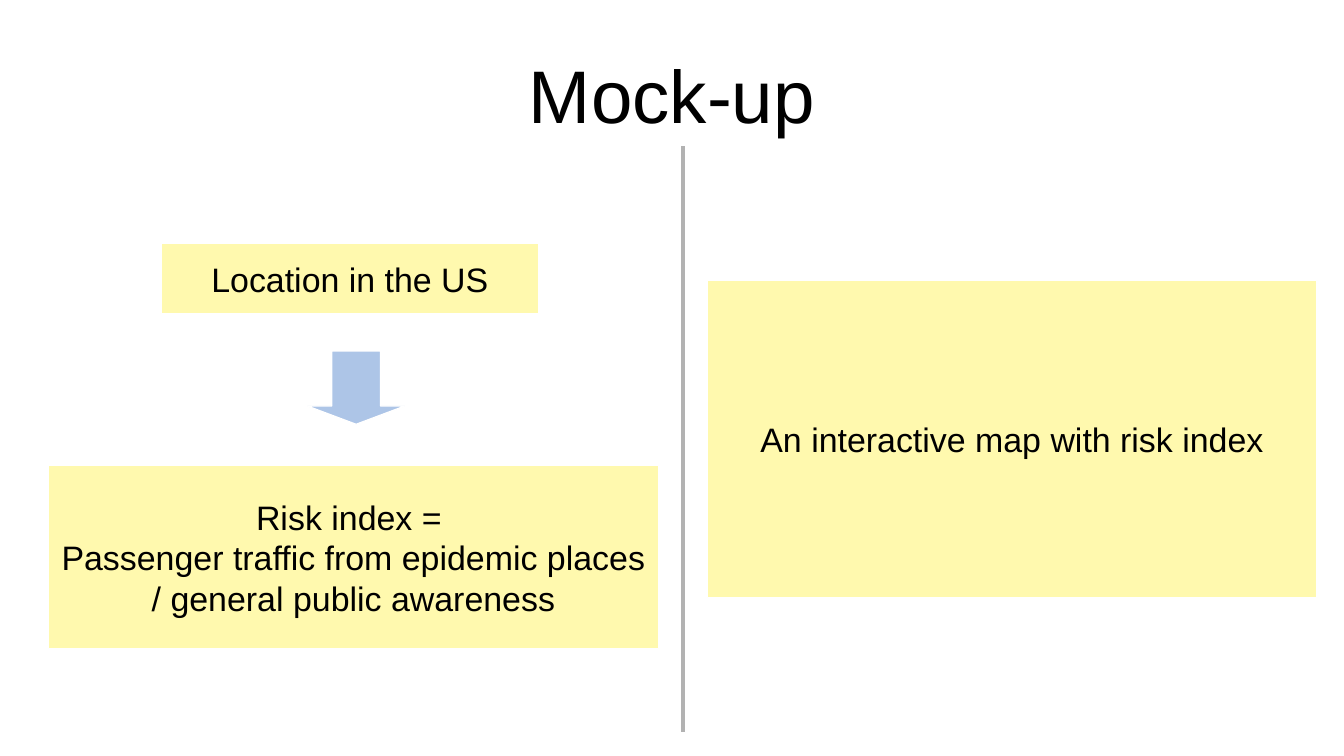
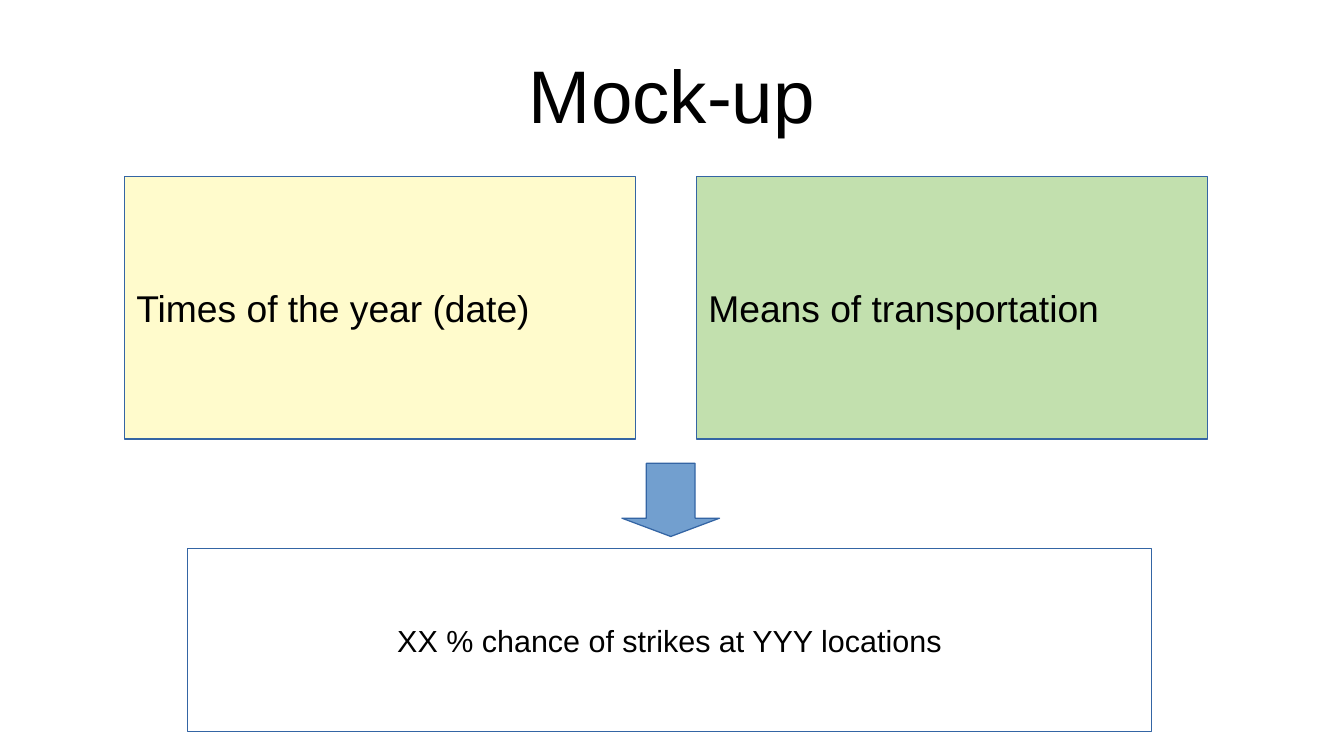
from lxml.etree import SubElement
from pptx import Presentation
from pptx.dml.color import RGBColor
from pptx.enum.shapes import MSO_CONNECTOR as Connector, MSO_SHAPE as Shape
from pptx.enum.text import MSO_ANCHOR as Anchor, MSO_AUTO_SIZE as AutoSize, PP_ALIGN as Align
from pptx.oxml.ns import qn
from pptx.util import Inches, Pt

COLORS = {
    "text": "000000",
    "white": "FFFFFF",
    "yellow": "FFF9AE",
    "cream": "FFFBCC",
    "green": "C2E0AE",
    "pale_blue": "ADC5E7",
    "blue": "729FCF",
    "outline": "3465A4",
    "divider": "B2B2B2",
}
FONT = "Arial"
TITLE_ONLY = 5
CELL = 0.1
COLUMNS, ROWS = 110.2, 62
HAIRLINE = Pt(0)


def grid(*cells):
    return [Inches(cell * CELL) for cell in cells]


def color(name):
    return RGBColor.from_string(COLORS[name])


def write_lines(frame, lines, size, align):
    frame.vertical_anchor = Anchor.MIDDLE
    for index, line in enumerate(lines):
        paragraph = frame.add_paragraph() if index else frame.paragraphs[0]
        paragraph.alignment = align
        run = paragraph.add_run()
        run.text = line
        run.font.size = Pt(size)
        run.font.name = FONT
        run.font.color.rgb = color("text")


def add_titled_slide(deck, heading):
    slide = deck.slides.add_slide(deck.slide_layouts[TITLE_ONLY])
    title = slide.shapes.title
    title.left, title.top, title.width, title.height = grid(5.5, 2.5, 99.2, 10.4)
    frame = title.text_frame
    frame.margin_left = frame.margin_right = frame.margin_top = frame.margin_bottom = 0
    frame.auto_size = AutoSize.NONE
    write_lines(frame, [heading], 44, Align.CENTER)
    return slide


def add_block(slide, kind, cells, fill, outline):
    block = slide.shapes.add_shape(kind, *grid(*cells))
    block.shadow.inherit = False
    block.fill.solid()
    block.fill.fore_color.rgb = color(fill)
    block.line.color.rgb = color(outline)
    block.line.width = HAIRLINE
    return block


def add_box(slide, cells, lines, size, fill, outline, align=Align.CENTER):
    frame = add_block(slide, Shape.RECTANGLE, cells, fill, outline).text_frame
    frame.word_wrap = align == Align.LEFT
    write_lines(frame, lines, size, align)


def add_down_arrow(slide, left, top, fill, outline):
    add_block(slide, Shape.DOWN_ARROW, (left, top, 8, 6), fill, outline).adjustments[1] = 0.25


def add_divider(slide, column, top, bottom):
    divider = slide.shapes.add_connector(
        Connector.STRAIGHT, *grid(column, top, column, bottom))
    divider.line.color.rgb = color("divider")
    divider.line.width = HAIRLINE
    SubElement(divider._element.spPr, qn("a:effectLst"))


def build_risk_index(deck):
    slide = add_titled_slide(deck, "Mock-up")
    add_down_arrow(slide, 25.2, 28.8, "pale_blue", "white")
    for cells, lines in (
        ((13.2, 20, 31, 5.7), ["Location in the US"]),
        ((4, 38.2, 50, 15), ["Risk index = ",
                             "Passenger traffic from epidemic places",
                             "/ general public awareness"]),
        ((58, 23, 50, 26), ["An interactive map with risk index"]),
    ):
        add_box(slide, cells, lines, 20, "yellow", "white")
    add_divider(slide, 56, 12, 60)


def build_strike_chance(deck):
    slide = add_titled_slide(deck, "Mock-up")
    width, gap = 41.9, 5
    factors = (("Times of the year (date)", "cream"), ("Means of transportation", "green"))
    for index, (factor, fill) in enumerate(factors):
        left = 10.2 + index * (width + gap)
        add_box(slide, (left, 14.5, width, 21.5), [factor], 22, fill, "outline", Align.LEFT)
    add_down_arrow(slide, 51, 38, "blue", "outline")
    add_box(slide, (15.4, 45, 79, 15), ["XX % chance of strikes at YYY locations"],
            18, "white", "outline")


def main():
    deck = Presentation()
    deck.slide_width, deck.slide_height = grid(COLUMNS, ROWS)
    build_risk_index(deck)
    build_strike_chance(deck)
    deck.save("out.pptx")


if __name__ == "__main__":
    main()
